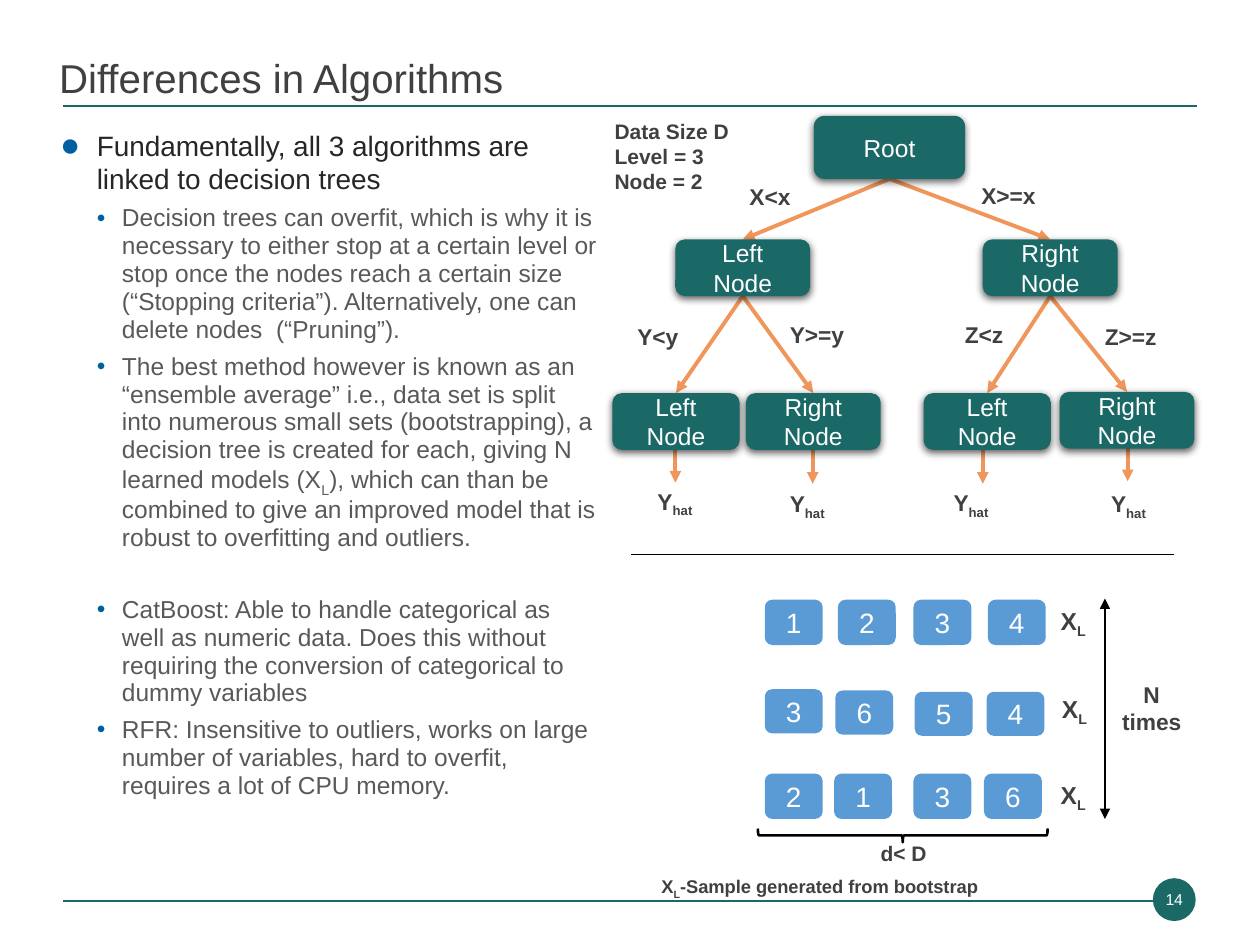
"""Build the slide that compares tree-based algorithms."""
from pptx import Presentation
from pptx.dml.color import RGBColor
from pptx.enum.shapes import MSO_CONNECTOR, MSO_SHAPE
from pptx.enum.text import MSO_ANCHOR, PP_ALIGN
from pptx.oxml.ns import qn
from pptx.util import Inches, Pt
from lxml.etree import SubElement

HUES = {
    "teal": "1B6967", "blue": "5B9BD5", "orange": "F0965A", "dot": "00609F",
    "dark": "404040", "head": "262626", "body": "595959",
    "white": "FFFFFF", "black": "000000",
}
INK = {key: RGBColor.from_string(val) for key, val in HUES.items()}

deck = Presentation()
deck.slide_width, deck.slide_height = Inches(10), Inches(7.5)
slide = deck.slides.add_slide(deck.slide_layouts[6])
shapes = slide.shapes


def write(text, box, kind=None, fill=None, size=13, hue="dark", bold=False,
          align=PP_ALIGN.LEFT, anchor=MSO_ANCHOR.TOP, pad=0.1):
    """Place text in a box or a filled shape; |bars| mark subscripts."""
    place = [Inches(val) for val in box]
    if kind is None:
        shape = shapes.add_textbox(*place)
    else:
        shape = shapes.add_shape(kind, *place)
        shape.shadow.inherit = False
        shape.fill.solid()
        shape.fill.fore_color.rgb = INK[fill]
        shape.line.fill.background()
    frame = shape.text_frame
    frame.word_wrap = True
    frame.vertical_anchor = anchor
    frame.margin_right = Inches(pad)
    for num, row in enumerate(text.split("\n")):
        para = frame.add_paragraph() if num else frame.paragraphs[0]
        para.alignment = align
        for part, piece in enumerate(row.split("|")):
            run = para.add_run()
            run.text = piece
            run.font.name, run.font.size = "Arial", Pt(size)
            run.font.bold, run.font.color.rgb = bold, INK[hue]
            if part % 2:
                run.font._element.set("baseline", "-25000")
    return shape


def link(start, end, hue, width, heads=()):
    """Draw a straight line with optional arrowheads."""
    points = [Inches(val) for val in (*start, *end)]
    line = shapes.add_connector(MSO_CONNECTOR.STRAIGHT, *points)
    line.line.color.rgb, line.line.width = INK[hue], Pt(width)
    props = line._element.spPr
    for head in heads:
        SubElement(props.find(qn("a:ln")), qn("a:" + head), type="triangle")
    SubElement(props, qn("a:effectLst"))


link((0.5, 7.15), (9.26, 7.15), "teal", 1)
link((0.5, 0.84), (9.5, 0.84), "teal", 1)
mid = {"align": PP_ALIGN.CENTER, "anchor": MSO_ANCHOR.MIDDLE}
write("14", (9.15, 6.97, 0.34, 0.34), MSO_SHAPE.OVAL, "teal",
      size=9, hue="white", **mid).text_frame.word_wrap = False
title = write("Differences in Algorithms", (0.37, 0.07, 9.15, 0.79),
              size=23, anchor=MSO_ANCHOR.BOTTOM)
title.text_frame.paragraphs[0].line_spacing = 0.9
write("Data Size D\nLevel = 3\nNode = 2", (4.78, 0.89, 1.1, 0.79),
      size=12, bold=True, pad=0)

nodes = [
    ("Root", 6.46, 0.92, 1.2, 0.5),
    ("Left Node", 5.36, 1.9, 1.07, 0.45),
    ("Right Node", 7.8, 1.9, 1.07, 0.45),
    ("Left Node", 4.86, 3.12, 1.01, 0.45),
    ("Right Node", 5.92, 3.12, 1.07, 0.45),
    ("Left Node", 7.33, 3.12, 1.01, 0.45),
    ("Right Node", 8.41, 3.11, 1.07, 0.45),
]
tops = [(left + wide / 2, top) for _, left, top, wide, _ in nodes]
feet = [(x, top + node[4]) for (x, top), node in zip(tops, nodes)]
for kid in range(1, len(nodes)):
    link(feet[(kid - 1) // 2], tops[kid], "orange", 2.25, ["tailEnd"])
for x, y in ((5.36, 3.25), (6.45, 3.26), (7.8, 3.26), (8.95, 3.24)):
    link((x, y), (x, y + 0.58), "orange", 2.25, ["tailEnd"])
for name, *box in nodes:
    node = write(name, box, MSO_SHAPE.ROUNDED_RECTANGLE, "teal",
                 size=14, hue="white", **mid)
    glow = SubElement(node._element.spPr.find(qn("a:effectLst")),
                      qn("a:outerShdw"), blurRad=str(Pt(4.5)),
                      dist=str(Pt(1.5)), dir="5400000", rotWithShape="0")
    tint = SubElement(glow, qn("a:srgbClr"), val=HUES["black"])
    SubElement(tint, qn("a:alpha"), val="63000")

labels = [
    ("X<x", 5.85, 1.4), ("X>=x", 7.69, 1.39),
    ("Y<y", 4.96, 2.51), ("Y>=y", 6.17, 2.5),
    ("Z<z", 7.56, 2.5), ("Z>=z", 8.67, 2.51),
    ("Y|hat|", 5.12, 3.82), ("Y|hat|", 6.17, 3.84),
    ("Y|hat|", 7.47, 3.83), ("Y|hat|", 8.72, 3.84),
]
for text, left, top in labels:
    write(text, (left, top, 1, 0.33), bold=True, pad=0)

draws = [
    ("1234", (6.07, 6.65, 7.25, 7.84), (4.76,) * 4, 0.36, 8.32, 4.76),
    ("3654", (6.07, 6.63, 7.26, 7.83), (5.47, 5.48, 5.49, 5.49), 0.35, 8.33, 5.46),
    ("2136", (6.07, 6.62, 7.25, 7.81), (6.14,) * 4, 0.36, 8.32, 6.14),
]
for picks, lefts, rows, tall, side, top in draws:
    for pick, left, row in zip(picks, lefts, rows):
        write(pick, (left, row, 0.46, tall), MSO_SHAPE.ROUNDED_RECTANGLE,
              "blue", size=16, hue="white", **mid)
    write("X|L|", (side, top, 0.39, 0.36), size=14, bold=True, pad=0)

link((8.77, 4.75), (8.77, 6.5), "black", 1.5, ["headEnd", "tailEnd"])
write("N\ntimes", (8.68, 5.35, 0.92, 0.79), bold=True, align=PP_ALIGN.CENTER)
brace = shapes.add_shape(MSO_SHAPE.LEFT_BRACE, Inches(7.11), Inches(5.48),
                         Inches(0.11), Inches(2.3))
brace.rotation = 270
brace.shadow.inherit = False
brace.fill.background()
brace.line.color.rgb, brace.line.width = INK["black"], Pt(1.5)
write("d< D", (6.89, 6.62, 1, 0.33), size=12, bold=True)
write("X|L|-Sample generated from bootstrap", (5.15, 6.9, 3.55, 0.36),
      size=10.5, bold=True)

points = [
    "Fundamentally, all 3 algorithms are linked to decision trees",
    "Decision trees can overfit, which is why it is necessary to either stop "
    "at a certain level or stop once the nodes reach a certain size "
    "(“Stopping criteria”). Alternatively, one can delete nodes  (“Pruning”).",
    "The best method however is known as an “ensemble average” i.e., data set "
    "is split into numerous small sets (bootstrapping), a decision tree is "
    "created for each, giving N learned models (X|L|), which can than be "
    "combined to give an improved model that is robust to overfitting and "
    "outliers.",
    "CatBoost: Able to handle categorical as well as numeric data. Does this "
    "without requiring the conversion of categorical to dummy variables",
    "RFR: Insensitive to outliers, works on large number of variables, hard "
    "to overfit, requires a lot of CPU memory.",
]
body = write("\n".join(points), (0.38, 0.97, 4.47, 6.18), size=14, hue="body")
gaps = (0, 5, 5, 25, 5)
for num, (para, gap) in enumerate(zip(body.text_frame.paragraphs, gaps)):
    edge, hang, mark, scale = (0.49, 0.2, "•", 100) if num else (0.29, 0.29, "●", 120)
    props = para._p.get_or_add_pPr()
    props.set("marL", str(Inches(edge)))
    props.set("indent", str(-Inches(hang)))
    tint = SubElement(props, qn("a:buClr"))
    SubElement(tint, qn("a:srgbClr"), val=HUES["dot"])
    SubElement(props, qn("a:buSzPct"), val=str(scale * 1000))
    SubElement(props, qn("a:buFont"), typeface="Arial")
    SubElement(props, qn("a:buChar"), char=mark)
    if num:
        para.level, para.line_spacing, para.space_before = 1, 0.95, Pt(gap)
lead = body.text_frame.paragraphs[0].runs[0].font
lead.size, lead.color.rgb = Pt(16), INK["head"]
link((5.01, 4.4), (9.32, 4.4), "black", 0.5)

deck.save("out.pptx")
